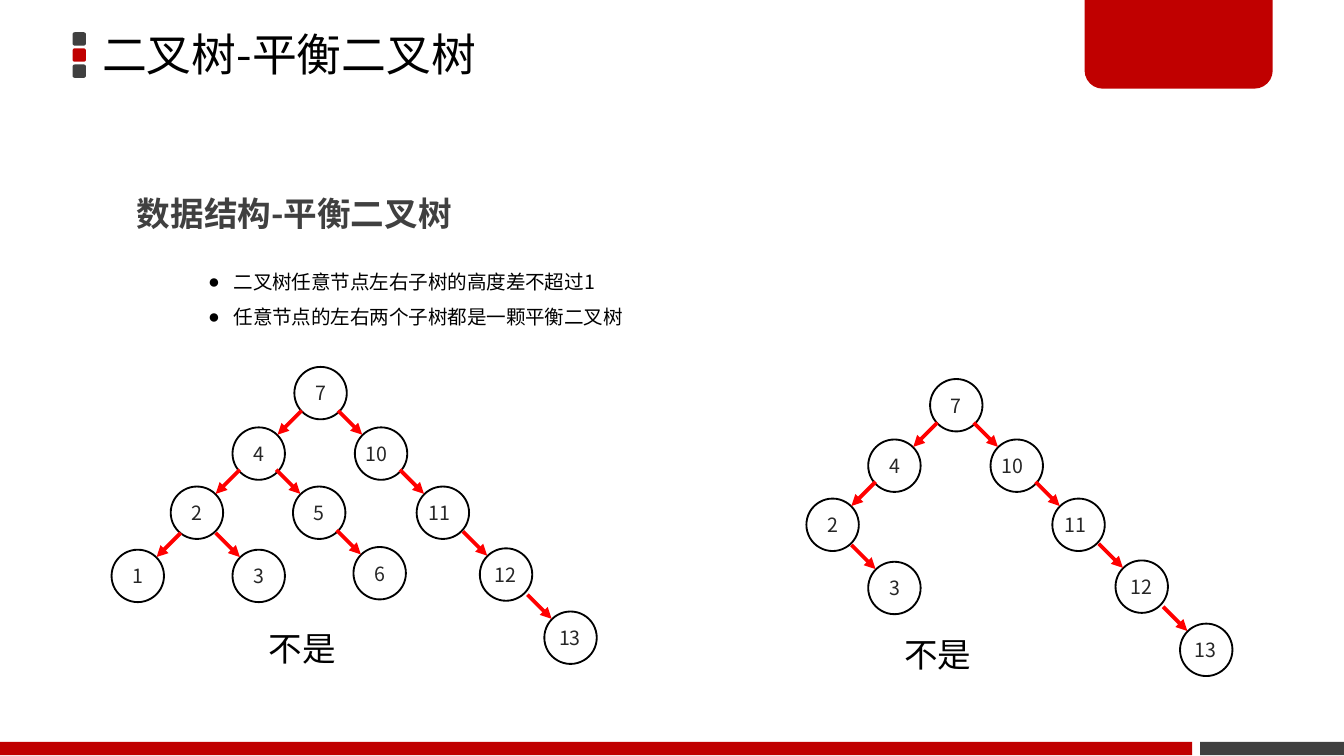
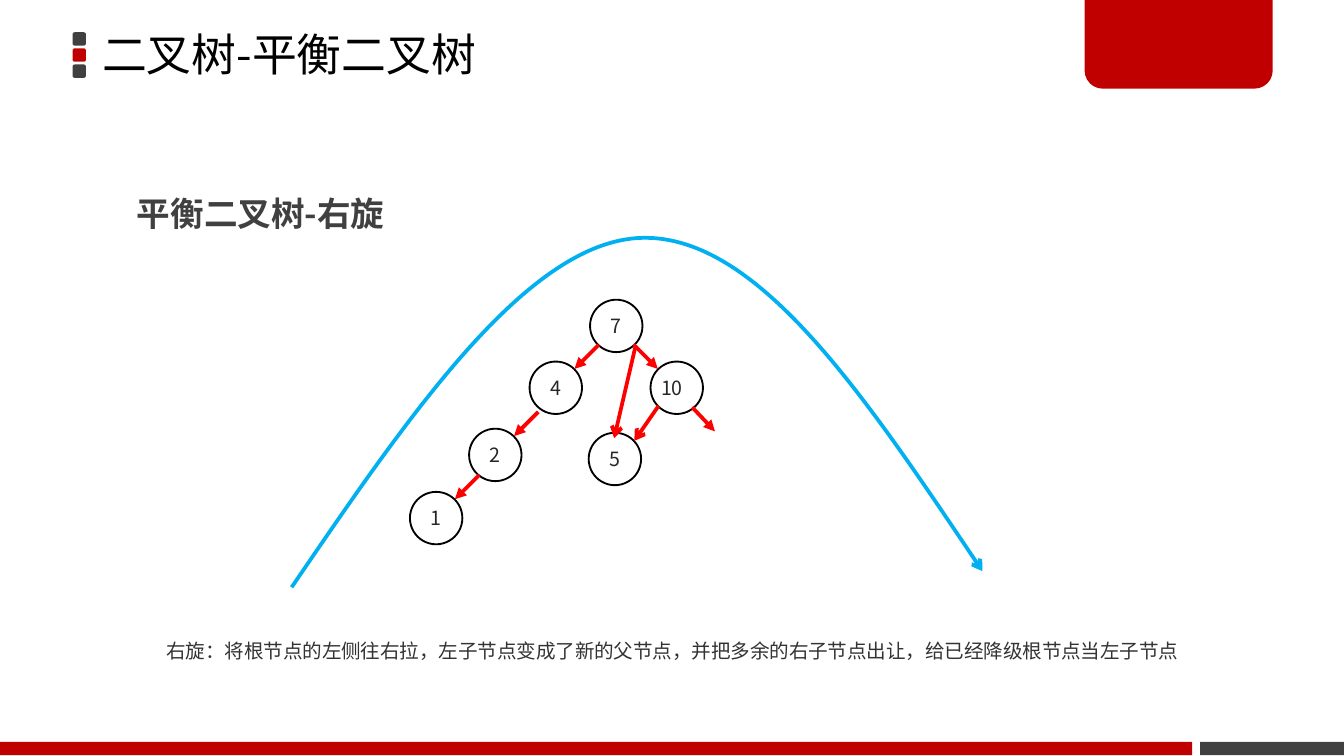
from dataclasses import dataclass

from lxml.etree import SubElement
from pptx import Presentation
from pptx.dml.color import RGBColor
from pptx.enum.shapes import MSO_CONNECTOR, MSO_SHAPE
from pptx.enum.text import MSO_ANCHOR, MSO_AUTO_SIZE, PP_ALIGN
from pptx.oxml.ns import qn
from pptx.util import Inches, Pt


@dataclass(frozen=True)
class Theme:
    red: str = "C00000"
    gray: str = "404040"
    black: str = "000000"
    white: str = "FFFFFF"
    node_text: str = "262626"
    note_text: str = "333333"
    arrow: str = "FF0000"
    curve: str = "00B0F0"
    title_font: str = "Noto Sans CJK JP"
    font: str = "Noto Sans CJK SC"
    bullet_font: str = "Arial"
    title_size: float = 24
    heading_size: float = 18
    body_size: float = 10.5


NODE = 0.39    # circle diameter
CORNER = 0.14  # centre of a circle to its rim, along x and y at 45 degrees
STEP = 0.18    # arrow extent along x and y

# Top left corner of each circle
FULL_TREE = {
    "7": (2.19, 2.73), "4": (1.73, 3.18), "10": (2.64, 3.18),
    "2": (1.27, 3.62), "5": (2.18, 3.62), "11": (3.1, 3.62),
    "1": (0.83, 4.09), "3": (1.73, 4.09), "6": (2.63, 4.07),
    "12": (3.57, 4.08), "13": (4.05, 4.55),
}
ROTATION_TREE = {
    "7": (4.39, 2.23), "4": (3.94, 2.69), "10": (4.84, 2.69),
    "2": (3.49, 3.19), "1": (3.05, 3.66), "5": (4.38, 3.22),
}
RIGHT_CHAIN = [("7", "10"), ("10", "11"), ("11", "12"), ("12", "13")]
LABEL_NUDGE = {"10": -0.03, "11": -0.02}


class Deck:
    def __init__(self, prs, theme):
        self.prs, self.theme, self.slide = prs, theme, None

    def new_slide(self, title):
        t = self.theme
        self.slide = self.prs.slides.add_slide(self.prs.slide_layouts[6])
        for i, color in enumerate((t.gray, t.red, t.gray)):
            self.shape(MSO_SHAPE.ROUNDED_RECTANGLE,
                       0.54, 0.24 + 0.12 * i, 0.1, 0.1, color)
        self.shape(MSO_SHAPE.RECTANGLE, 8.93, 5.52, 1.07, 0.1, t.gray)
        tab = self.shape(MSO_SHAPE.ROUND_2_SAME_RECTANGLE,
                         8.07, -0.02, 1.4, 0.68, t.red)
        tab.adjustments[0], tab.adjustments[1] = 0, 0.2
        self.shape(MSO_SHAPE.RECTANGLE, 0, 5.52, 8.87, 0.1, t.red)
        sp = self.text([title], 0.69, -0.02, 5.89, 0.89, size=t.title_size,
                       font=t.title_font, spacing=0.9, grow=False)
        tf = sp.text_frame
        tf.vertical_anchor = MSO_ANCHOR.MIDDLE
        tf.margin_left = tf.margin_right = Inches(0.07)
        tf.margin_top = tf.margin_bottom = Inches(0.04)

    def shape(self, kind, x, y, w, h, fill=None, line=None):
        sp = self.slide.shapes.add_shape(
            kind, Inches(x), Inches(y), Inches(w), Inches(h))
        sp.shadow.inherit = False
        if fill:
            sp.fill.solid()
            sp.fill.fore_color.rgb = RGBColor.from_string(fill)
        else:
            sp.fill.background()
        if line:
            self.outline(sp, line, 1)
        else:
            sp.line.fill.background()
        return sp

    def outline(self, sp, color, width, head=None):
        sp.line.color.rgb = RGBColor.from_string(color)
        sp.line.width = Pt(width)
        if head:
            ln = sp._element.spPr.find(qn("a:ln"))
            SubElement(ln, qn("a:tailEnd"), type=head)

    def style(self, p, size=None, color=None, bold=False, font=None):
        t = self.theme
        for r in p.runs:
            r.font.size = Pt(size or t.body_size)
            r.font.bold = bold
            r.font.name = font or t.font
            r.font.color.rgb = RGBColor.from_string(color or t.black)
            SubElement(r._r.get_or_add_rPr(), qn("a:ea"),
                       typeface=font or t.font)

    def text(self, lines, x, y, w, h, spacing=None, align=None, wrap=True,
             grow=True, bullet=None, **style):
        sp = self.slide.shapes.add_textbox(
            Inches(x), Inches(y), Inches(w), Inches(h))
        tf = sp.text_frame
        tf.word_wrap = wrap
        if grow:
            tf.auto_size = MSO_AUTO_SIZE.SHAPE_TO_FIT_TEXT
        tf.text = "\n".join(lines)
        for p in tf.paragraphs:
            if bullet:
                pPr = p._p.get_or_add_pPr()
                pPr.set("marL", str(Inches(0.19)))
                pPr.set("indent", str(Inches(-0.19)))
                SubElement(pPr, qn("a:buFont"),
                           typeface=self.theme.bullet_font)
                SubElement(pPr, qn("a:buChar"), char=bullet)
            if spacing:
                p.line_spacing = spacing
            if align is not None:
                p.alignment = align
            self.style(p, **style)
        return sp

    def heading(self, text, w):
        self.text([text], 0.92, 1.24, w, 0.5, spacing=1.5, bold=True,
                  size=self.theme.heading_size, color=self.theme.gray)

    def arrow(self, start, end, head="triangle"):
        s = self.slide.shapes.add_connector(
            MSO_CONNECTOR.STRAIGHT, *map(Inches, (*start, *end)))
        self.outline(s, self.theme.arrow, 2, head)
        SubElement(s._element.spPr, qn("a:effectLst"))

    def node(self, label, x, y):
        """Circle with its number; two digits need a wider box of their own."""
        color = self.theme.node_text
        sp = self.shape(MSO_SHAPE.OVAL, x, y, NODE, NODE,
                        line=self.theme.black)
        if len(label) > 1:
            self.text([label], x + LABEL_NUDGE.get(label, 0), y + 0.06,
                      0.38, 0.28, align=PP_ALIGN.CENTER, wrap=False,
                      color=color)
            return
        tf = sp.text_frame
        tf.text = label
        tf.vertical_anchor = MSO_ANCHOR.MIDDLE
        p = tf.paragraphs[0]
        p.alignment = PP_ALIGN.CENTER
        self.style(p, color=color)

    def tree(self, nodes, edges, dx=0, dy=0):
        """Draw circles, and arrows that end on the rim of each child."""
        for label, (x, y) in nodes.items():
            self.node(label, x + dx, y + dy)
        for parent, child in edges:
            x, y = nodes[child]
            side = 1 if x > nodes[parent][0] else -1
            end_x = x + dx + NODE / 2 - side * CORNER
            end_y = y + dy + NODE / 2 - CORNER
            self.arrow((end_x - side * STEP, end_y - STEP), (end_x, end_y))

    def curve(self, start, segments):
        """Open path of cubic segments, each two control points and an end."""
        fb = self.slide.shapes.build_freeform(*map(Inches, start))
        fb.add_line_segments([tuple(map(Inches, seg[-1])) for seg in segments],
                             close=False)
        sp = fb.convert_to_shape()
        sp.shadow.inherit = False
        sp.fill.background()
        self.outline(sp, self.theme.curve, 2, "arrow")
        for ln_to, seg in zip(list(sp._element.iter(qn("a:lnTo"))), segments):
            ln_to.tag = qn("a:cubicBezTo")
            for pt in list(ln_to):
                ln_to.remove(pt)
            for x, y in seg:
                SubElement(ln_to, qn("a:pt"), x=str(Inches(x) - sp.left),
                           y=str(Inches(y) - sp.top))

    def note(self, text, x, y, w, h):
        sp = self.shape(MSO_SHAPE.RECTANGLE, x, y, w, h, self.theme.white)
        tf = sp.text_frame
        tf.word_wrap = False
        tf.auto_size = MSO_AUTO_SIZE.SHAPE_TO_FIT_TEXT
        tf.vertical_anchor = MSO_ANCHOR.MIDDLE
        tf.text = text
        p = tf.paragraphs[0]
        p.alignment = PP_ALIGN.LEFT
        self.style(p, color=self.theme.note_text)


def balance_slide(deck):
    deck.new_slide("二叉树-平衡二叉树")
    deck.text(["二叉树任意节点左右子树的高度差不超过1",
               "任意节点的左右两个子树都是一颗平衡二叉树"],
              1.45, 1.87, 3.78, 0.63, spacing=1.5, bullet="●")
    deck.heading("数据结构-平衡二叉树", 6.28)
    deck.tree(FULL_TREE, RIGHT_CHAIN + [
        ("7", "4"), ("4", "2"), ("4", "5"), ("2", "1"), ("2", "3"),
        ("5", "6")])
    pruned = {k: at for k, at in FULL_TREE.items() if k not in ("1", "5", "6")}
    deck.tree(pruned, RIGHT_CHAIN + [("7", "4"), ("4", "2"), ("2", "3")],
              dx=4.73, dy=0.09)
    for x, y in ((1.9, 4.62), (6.63, 4.67)):
        deck.text(["不是"], x, y, 0.7, 0.4, wrap=False,
                  size=deck.theme.heading_size)


def rotation_slide(deck):
    deck.new_slide("二叉树-平衡二叉树")
    deck.heading("平衡二叉树-右旋", 3.42)
    deck.tree(ROTATION_TREE,
              [("7", "4"), ("7", "10"), ("4", "2"), ("2", "1")])
    deck.curve((2.17, 4.37), [
        ((3.05, 3.08), (3.93, 1.79), (4.78, 1.77)),
        ((5.64, 1.75), (6.47, 3), (7.31, 4.25))])
    deck.arrow((5.15, 3.03), (5.32, 3.21))
    deck.arrow((4.73, 2.57), (4.57, 3.26), "arrow")
    deck.arrow((4.9, 3.02), (4.72, 3.28), "arrow")
    deck.note("右旋：将根节点的左侧往右拉，左子节点变成了新的父节点，"
              "并把多余的右子节点出让，给已经降级根节点当左子节点",
              1.14, 4.7, 7.9, 0.28)


def main():
    prs = Presentation()
    prs.slide_width = Inches(10)
    prs.slide_height = Inches(10) * 9 // 16
    deck = Deck(prs, Theme())
    balance_slide(deck)
    rotation_slide(deck)
    prs.save("out.pptx")


if __name__ == "__main__":
    main()
